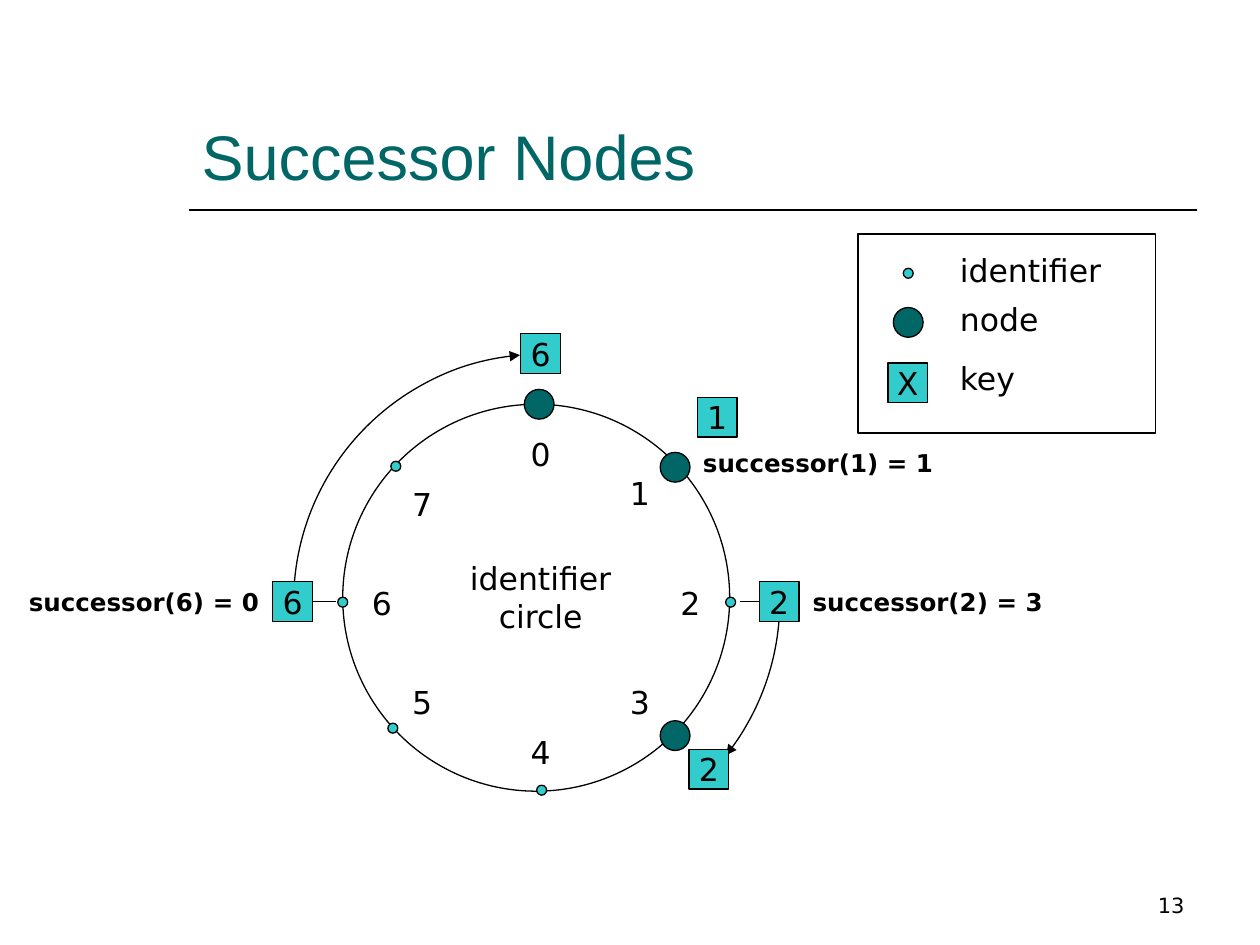
"""Build the slide on successor nodes of an identifier circle."""
import pptx
import pptx.dml.color
import pptx.enum.shapes
import pptx.enum.text
import pptx.oxml.ns
import pptx.oxml.xmlchemy
import pptx.util

Cm = pptx.util.Cm
SHAPE = pptx.enum.shapes.MSO_SHAPE
ALIGN = pptx.enum.text.PP_ALIGN
ANCHOR = pptx.enum.text.MSO_ANCHOR

COLORS = {"black": "000000", "teal": "006666", "aqua": "33CCCC"}
BODY = {"name": "DejaVu Sans", "size": pptx.util.Pt(18), "bold": False}
SUCCESSOR = {**BODY, "size": pptx.util.Pt(14), "bold": True}
PAGE = {**BODY, "size": pptx.util.Pt(12)}
HEADING = {"name": "Arial", "size": pptx.util.Pt(36), "bold": False}

DOT, NODE, KEY = 0.2, 0.6, 0.8
CIRCLE = (10.81, 12.05, 7.8)
ARCS = [(10.92, 12.14, 180, 265), (10.72, 12.12, 0, 38.4)]
ARC_DIAMETER = 10
DOTS = [(14.73, 12.14), (10.92, 15.93), (7.92, 14.68), (6.91, 12.14),
        (7.98, 9.4), (18.31, 5.51)]
NODES = [(10.87, 8.15), (13.61, 9.42), (13.61, 14.83), (18.31, 6.5)]
IDENTIFIERS = [(10.9, 9.16), (12.9, 9.94), (13.92, 12.15), (12.9, 14.16),
               (10.9, 15.15), (8.51, 14.16), (7.7, 12.15), (8.51, 10.15)]
KEYS = [("6", 10.9, 7.13), ("1", 14.46, 8.41), ("2", 14.29, 15.51), ("X", 18.3, 7.72)]
LINKED_KEYS = [("6", 5.9, 12.13, 3, 6.78), ("2", 15.71, 12.13, 1, 14.91)]
SUCCESSORS = [("successor(1) = 1", 14.3, 8.92), ("successor(2) = 3", 16.51, 11.73),
              ("successor(6) = 0", 0.71, 11.73)]
LEGEND_BOX = (17.3, 4.72, 5.99, 4.01)
LEGEND = [("identifier", 5.13), ("node", 6.12), ("key", 7.32)]


def rgb(name):
    return pptx.dml.color.RGBColor.from_string(COLORS[name])


def write(shape, text, font, align=ALIGN.CENTER, anchor=ANCHOR.MIDDLE, wrap=False, color="black"):
    frame = shape.text_frame
    frame.text = text
    frame_format = {"word_wrap": wrap, "vertical_anchor": anchor,
                    "auto_size": pptx.enum.text.MSO_AUTO_SIZE.NONE}
    for name, value in frame_format.items():
        setattr(frame, name, value)
    for paragraph in frame.paragraphs:
        paragraph.alignment = align
        for run in paragraph.runs:
            for name, value in font.items():
                setattr(run.font, name, value)
            run.font.color.rgb = rgb(color)


def add_text(slide, box, text, font, **options):
    write(slide.shapes.add_textbox(*map(Cm, box)), text, font, **options)


def add_outlined(slide, kind, box, fill=None):
    shape = slide.shapes.add_shape(kind, *map(Cm, box))
    shape.shadow.inherit = False
    if fill:
        shape.fill.solid()
        shape.fill.fore_color.rgb = rgb(fill)
    else:
        shape.fill.background()
    shape.line.color.rgb = rgb("black")
    shape.line.width = pptx.util.Pt(0.75)
    return shape


def centred(x, y, size):
    return x - size / 2, y - size / 2, size, size


def add_key(slide, text, x, y):
    key = add_outlined(slide, SHAPE.RECTANGLE, centred(x, y, KEY), "aqua")
    write(key, text, BODY)
    return key


def add_line(slide, start, end, width):
    line = slide.shapes.add_connector(
        pptx.enum.shapes.MSO_CONNECTOR.STRAIGHT, *map(Cm, start + end))
    line.line.color.rgb = rgb("black")
    line.line.width = pptx.util.Pt(width)
    line._element.spPr.append(pptx.oxml.xmlchemy.OxmlElement("a:effectLst"))
    return line


def add_arc_arrow(slide, x, y, start, end):
    arc = add_outlined(slide, SHAPE.ARC, centred(x, y, ARC_DIAMETER))
    for index, degrees in enumerate((start, end)):
        arc.adjustments[index] = degrees * 0.6
    arrowhead = pptx.oxml.xmlchemy.OxmlElement("a:tailEnd")
    arrowhead.set("type", "triangle")
    arc._element.spPr.find(pptx.oxml.ns.qn("a:ln")).append(arrowhead)


def main():
    presentation = pptx.Presentation()
    presentation.slide_width, presentation.slide_height = Cm(25.4), Cm(19.05)
    slide = presentation.slides.add_slide(presentation.slide_layouts[5])

    title = slide.shapes.title
    title_box = {"left": 3.81, "top": 0.84, "width": 20.32, "height": 3.18}
    for name, value in title_box.items():
        setattr(title, name, Cm(value))
    write(title, "Successor Nodes", HEADING, ALIGN.LEFT, ANCHOR.BOTTOM, True, "teal")
    add_line(slide, (3.81, 4.24), (24.13, 4.24), 1)
    add_text(slide, (18.21, 17.35, 5.92, 1.27), "13", PAGE,
             align=ALIGN.RIGHT, anchor=ANCHOR.BOTTOM, wrap=True)

    for arc in ARCS:
        add_arc_arrow(slide, *arc)
    add_outlined(slide, SHAPE.OVAL, centred(*CIRCLE))
    add_outlined(slide, SHAPE.RECTANGLE, LEGEND_BOX)
    for centres, size, fill in ((DOTS, DOT, "aqua"), (NODES, NODE, "teal")):
        for x, y in centres:
            add_outlined(slide, SHAPE.OVAL, centred(x, y, size), fill)

    for key in KEYS:
        add_key(slide, *key)
    for text, x, y, side, line_end in LINKED_KEYS:
        key = add_key(slide, text, x, y)
        line = add_line(slide, (x, y), (line_end, y), 0.75)
        line.begin_connect(key, side)

    for number, (x, y) in enumerate(IDENTIFIERS):
        add_text(slide, centred(x, y, KEY), str(number), BODY)
    add_text(slide, (9.3, 11.13, 3.2, 1.8), "identifier\ncircle", BODY)
    for text, left, top in SUCCESSORS:
        add_text(slide, (left, top, 4.39, KEY), text, SUCCESSOR)
    for text, top in LEGEND:
        add_text(slide, (19.1, top, 3.8, 0.61), text, BODY, align=ALIGN.LEFT, wrap=True)

    presentation.save("out.pptx")


if __name__ == "__main__":
    main()
